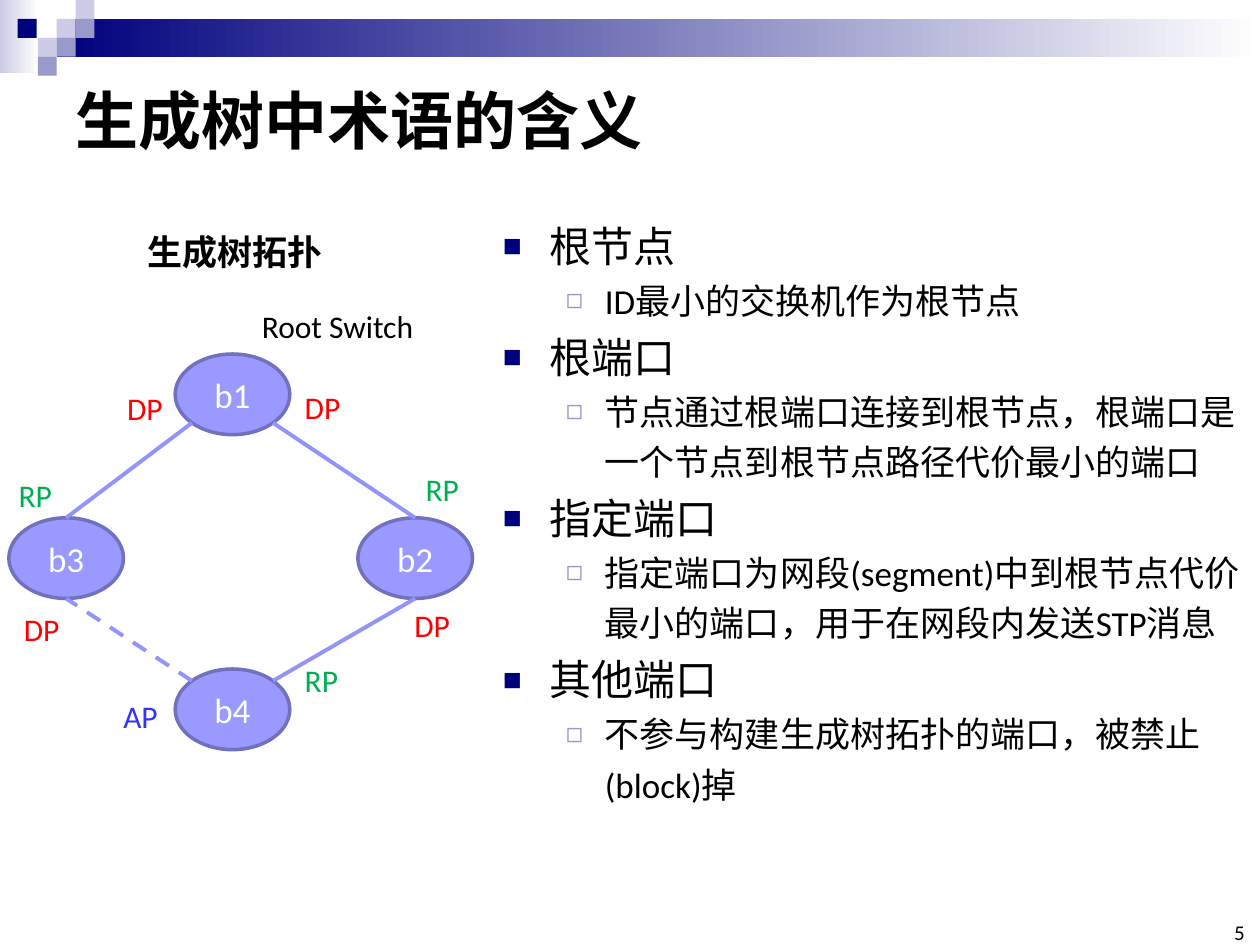
from math import sqrt

from lxml.etree import SubElement
from pptx import Presentation
from pptx.dml.color import RGBColor
from pptx.enum.dml import MSO_LINE
from pptx.enum.shapes import MSO_CONNECTOR, MSO_SHAPE
from pptx.enum.text import MSO_ANCHOR, MSO_AUTO_SIZE, PP_ALIGN
from pptx.oxml.ns import qn
from pptx.util import Pt

PX = 9144  # EMU per px, 100 px to the inch
FONT = "Calibri"
BLACK, RED, GREEN, BLUE = "000000", "FF0000", "00B050", "3333FF"

TITLE = "生成树中术语的含义"
TERMS = [
    ("根节点", "ID最小的交换机作为根节点"),
    ("根端口", "节点通过根端口连接到根节点，根端口是一个节点到根节点路径代价最小的端口"),
    ("指定端口", "指定端口为网段(segment)中到根节点代价最小的端口，用于在网段内发送STP消息"),
    ("其他端口", "不参与构建生成树拓扑的端口，被禁止(block)掉"),
]
# size, indent, hang, bullet, bullet colour, bullet size
LEVELS = [
    (24, 37, 37, "■", "00007D", 75000),
    (20, 81, 31, "◻", "9999CC", 80000),
]

GRADIENTS = [((0, 0, 31, 58), "CCCCE6"), ((45, 15, 955, 30), "00007D")]
TILE = 15
TILES = [  # left, top, colour
    (45, 15, "CCCCE6"), (60, 0, "CCCCE6"), (60, 15, "9999CC"), (30, 30, "CCCCE6"),
    (14, 15, "00007D"), (45, 30, "9999CC"), (30, 45, "9999CC"),
]

NODE_W, NODE_H = 91, 64
NODES = {"b1": (139, 281), "b3": (7, 411), "b2": (284, 411), "b4": (139, 531)}
# Inner node, its horizontal and vertical side, outer node, its vertical side, dashed
LINKS = [
    ("b1", -1, 1, "b3", -1, False),
    ("b1", 1, 1, "b2", -1, False),
    ("b4", -1, -1, "b3", 1, True),
    ("b4", 1, -1, "b2", 1, False),
]
LABELS = [  # text, left, top, width, height, size, colour, bold
    ("生成树拓扑", 107, 178, 161, 44, 20, BLACK, True),
    ("Root Switch", 198, 239, 142, 40, 18, BLACK, False),
    ("RP", 5, 373, 47, 40, 18, GREEN, False),
    ("RP", 328, 368, 47, 40, 18, GREEN, False),
    ("RP", 232, 520, 47, 40, 18, GREEN, False),
    ("DP", 91, 304, 49, 40, 18, RED, False),
    ("DP", 232, 303, 49, 40, 18, RED, False),
    ("DP", 9, 479, 49, 40, 18, RED, False),
    ("DP", 319, 476, 49, 40, 18, RED, False),
    ("AP", 88, 548, 48, 40, 18, BLUE, False),
]


def rgb(value):
    return RGBColor.from_string(value)


def emu(*lengths):
    return [round(n * PX) for n in lengths]


def place(sp, *box):
    sp.left, sp.top, sp.width, sp.height = emu(*box)


def style(p, size, color=BLACK, bold=False):
    for r in p.runs:
        r.font.name, r.font.size, r.font.bold = FONT, Pt(size), bold
        r.font.color.rgb = rgb(color)


def add_shape(kind, *box):
    sp = s.shapes.add_shape(kind, *emu(*box))
    sp.shadow.inherit = False
    sp.line.fill.background()
    return sp


def add_label(text, x, y, w, h, size, color, bold):
    sp = s.shapes.add_textbox(*emu(x, y, w, h))
    tf = sp.text_frame
    tf.text = text
    tf.word_wrap = False
    tf.auto_size = MSO_AUTO_SIZE.SHAPE_TO_FIT_TEXT
    style(tf.paragraphs[0], size, color, bold)
    return tf


def add_bullet(p, indent, hang, char, color, percent):
    pPr = p._p.get_or_add_pPr()
    pPr.set("marL", str(indent * PX))
    pPr.set("indent", str(-hang * PX))
    clr = SubElement(pPr, qn("a:buClr"))
    SubElement(clr, qn("a:srgbClr"), val=color)
    SubElement(pPr, qn("a:buSzPct"), val=str(percent))
    SubElement(pPr, qn("a:buChar"), char=char)


prs = Presentation()
prs.slide_width, prs.slide_height = emu(1000, 750)
s = prs.slides.add_slide(prs.slide_layouts[1])

# Header band and tiles
for box, color in GRADIENTS:
    sp = add_shape(MSO_SHAPE.RECTANGLE, *box)
    sp.fill.gradient()
    sp.fill.gradient_angle = 0
    for stop, value in zip(sp.fill.gradient_stops, (color, "FFFFFF")):
        stop.color.rgb = rgb(value)
for x, y, color in TILES:
    sp = add_shape(MSO_SHAPE.RECTANGLE, x, y, TILE, TILE)
    sp.fill.solid()
    sp.fill.fore_color.rgb = rgb(color)

# Title
title = s.shapes.title
place(title, 50, 50, 900, 89)
tf = title.text_frame
tf.text = TITLE
tf.vertical_anchor = MSO_ANCHOR.MIDDLE
tf.paragraphs[0].alignment = PP_ALIGN.LEFT
style(tf.paragraphs[0], 36, bold=True)

# Terms and their meanings
body = s.placeholders[1]
place(body, 389, 162, 611, 551)
tf = body.text_frame
tf.auto_size = MSO_AUTO_SIZE.NONE
items = [(level, text) for term in TERMS for level, text in enumerate(term)]
for i, (level, text) in enumerate(items):
    p = tf.add_paragraph() if i else tf.paragraphs[0]
    size, *bullet = LEVELS[level]
    p.text = text
    p.level = level
    add_bullet(p, *bullet)
    p.line_spacing = 1.2
    p.space_before = Pt(0)
    style(p, size)

# Switches
for name, (x, y) in NODES.items():
    sp = add_shape(MSO_SHAPE.OVAL, x, y, NODE_W, NODE_H)
    sp.fill.solid()
    sp.fill.fore_color.rgb = rgb("9999FF")
    sp.line.color.rgb = rgb("7171BD")
    sp.line.width = Pt(2)
    tf = sp.text_frame
    tf.text = name
    tf.vertical_anchor = MSO_ANCHOR.MIDDLE
    tf.paragraphs[0].alignment = PP_ALIGN.CENTER
    style(tf.paragraphs[0], 20, "FFFFFF")


# Links run from an oval's diagonal point to the top or bottom of another
def oval_point(name, dx, dy):
    x, y = NODES[name]
    return x + NODE_W / 2 * (1 + dx), y + NODE_H / 2 * (1 + dy)


for inner, side, up, outer, end, dashed in LINKS:
    start = oval_point(inner, side / sqrt(2), up / sqrt(2))
    cx = s.shapes.add_connector(
        MSO_CONNECTOR.STRAIGHT, *emu(*start, *oval_point(outer, 0, end)))
    SubElement(cx._element.spPr, qn("a:effectLst"))
    cx.line.color.rgb = rgb("9393FC")
    cx.line.width = Pt(2.25)
    if dashed:
        cx.line.dash_style = MSO_LINE.DASH

# Diagram labels
for label in LABELS:
    add_label(*label)

# Slide number
tf = add_label("5", 965, 733, 23, 17, 12, BLACK, False)
tf.auto_size = MSO_AUTO_SIZE.NONE
tf.word_wrap = True
tf.margin_left = tf.margin_top = tf.margin_right = tf.margin_bottom = 0
tf.vertical_anchor = MSO_ANCHOR.BOTTOM
tf.paragraphs[0].alignment = PP_ALIGN.RIGHT

prs.save("out.pptx")
